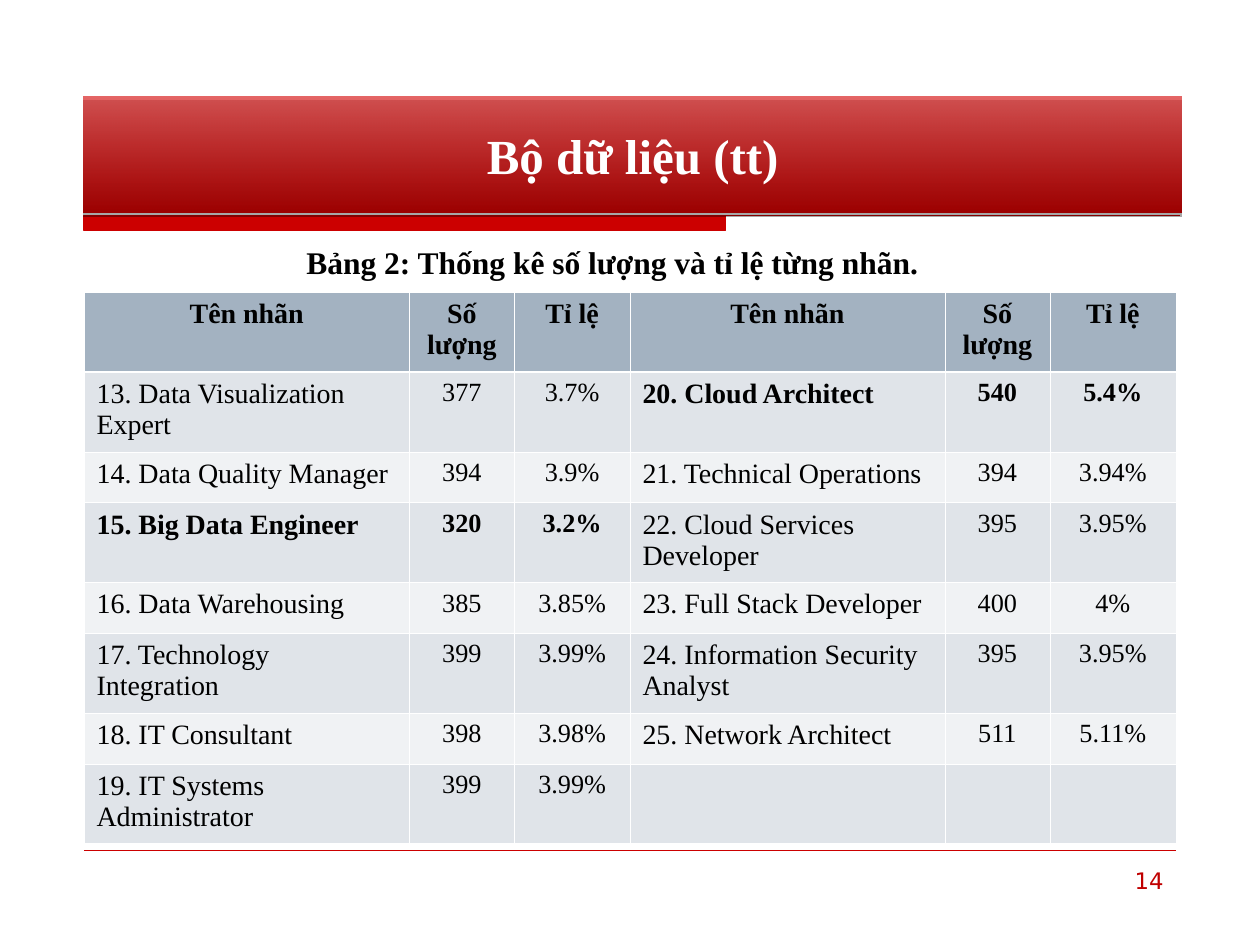
from pptx import Presentation
from pptx.dml.color import RGBColor
from pptx.enum.shapes import MSO_CONNECTOR, MSO_SHAPE
from pptx.enum.text import MSO_ANCHOR, PP_ALIGN
from pptx.oxml import parse_xml
from pptx.oxml.ns import nsdecls
from pptx.util import Inches, Pt

COLORS = {
    "white": "FFFFFF", "black": "000000", "red": "CC0000", "number": "C00000",
    "grad_bottom": "9D0000", "grad_top": "D30000",
    "header": "A3B2C1", "odd": "E0E4E9", "even": "F0F2F4",
}
SERIF, SANS = "Times New Roman", "DejaVu Sans"
COLS, ROWS = 60, 45
LEFT, WIDTH = 4, 52
COL_WIDTHS = [15.5, 5, 5.5, 15, 5, 6]
TALL, SHORT = 3.8, 2.42
ROW_HEIGHTS = [TALL, TALL, SHORT, TALL, SHORT, TALL, SHORT, TALL]
HEADER = ["Tên nhãn", "Số lượng", "Tỉ lệ"] * 2
DATA = [
    ["13. Data Visualization Expert", "377", "3.7%", "20. Cloud Architect", "540", "5.4%"],
    ["14. Data Quality Manager", "394", "3.9%", "21. Technical Operations", "394", "3.94%"],
    ["15. Big Data Engineer", "320", "3.2%", "22. Cloud Services Developer", "395", "3.95%"],
    ["16. Data Warehousing", "385", "3.85%", "23. Full Stack Developer", "400", "4%"],
    ["17. Technology Integration", "399", "3.99%", "24. Information Security Analyst", "395", "3.95%"],
    ["18. IT Consultant", "398", "3.98%", "25. Network Architect", "511", "5.11%"],
    ["19. IT Systems Administrator", "399", "3.99%", "", "", ""],
]
BOLD_LABELS = {"15. Big Data Engineer", "20. Cloud Architect"}


class Deck:
    def __init__(self):
        self.prs = Presentation()
        self.prs.slide_width, self.prs.slide_height = Inches(10), Inches(7.5)
        self.s = self.prs.slides.add_slide(self.prs.slide_layouts[6])

    def x(self, n):
        return round(self.prs.slide_width * n / COLS)

    def y(self, n):
        return round(self.prs.slide_height * n / ROWS)

    def box(self, left, top, width, height):
        return self.x(left), self.y(top), self.x(width), self.y(height)

    def color(self, name):
        return RGBColor.from_string(COLORS[name])

    def run(self, tf, text, size, color="black", bold=False, align=PP_ALIGN.LEFT, font=SERIF):
        p = tf.paragraphs[0]
        p.alignment = align
        r = p.add_run()
        r.text = text
        r.font.size, r.font.bold, r.font.name = Pt(size), bold, font
        r.font.color.rgb = self.color(color)

    def text(self, box, text, size, **style):
        tf = self.s.shapes.add_textbox(*self.box(*box)).text_frame
        tf.word_wrap = True
        self.run(tf, text, size, **style)

    def banner(self, box, text):
        sp = self.s.shapes.add_shape(MSO_SHAPE.RECTANGLE, *self.box(*box))
        sp.line.fill.background()
        sp.shadow.inherit = False
        sp.fill.gradient()
        pr = sp._element.spPr
        pr.replace(pr.find("{*}gradFill"), parse_xml(
            f'<a:gradFill {nsdecls("a")} rotWithShape="1"><a:gsLst>'
            f'<a:gs pos="0"><a:srgbClr val="{COLORS["grad_bottom"]}"/></a:gs>'
            f'<a:gs pos="100000"><a:srgbClr val="{COLORS["grad_top"]}"><a:alpha val="60000"/>'
            '</a:srgbClr></a:gs></a:gsLst><a:lin ang="16200000" scaled="0"/></a:gradFill>'))
        pr.find("{*}effectLst").append(parse_xml(
            f'<a:outerShdw {nsdecls("a")} blurRad="0" dist="{Pt(1.8)}" dir="5400000" rotWithShape="0">'
            f'<a:srgbClr val="{COLORS["black"]}"><a:alpha val="35000"/></a:srgbClr></a:outerShdw>'))
        sp.text_frame.word_wrap = True
        sp.text_frame.vertical_anchor = MSO_ANCHOR.MIDDLE
        self.run(sp.text_frame, text, 28, "white", True, PP_ALIGN.CENTER)

    def accent(self, left, top, bar_width, height, line_width):
        x, y, w, h = self.box(left, top, bar_width, height)
        fb = self.s.shapes.build_freeform(x, y)
        fb.add_line_segments([(x + w, y), (x + w, y + h), (x, y + h)], close=True)
        fb.move_to(x, y)
        fb.add_line_segments([(x + self.x(line_width), y)], close=False)
        sp = fb.convert_to_shape()
        sp.shadow.inherit = False
        sp.fill.solid()
        sp.fill.fore_color.rgb = sp.line.color.rgb = self.color("red")
        sp.line.width = Pt(0.75)

    def rule(self, left, top, width):
        x, y, w, _ = self.box(left, top, width, 0)
        line = self.s.shapes.add_connector(MSO_CONNECTOR.STRAIGHT, x, y, x + w, y)
        line.line.color.rgb = self.color("red")
        line.line.width = Pt(0.25)
        line._element.spPr.append(parse_xml(f'<a:effectLst {nsdecls("a")}/>'))

    def borders(self, cell, row):
        heavy = {0: "B", 1: "T"}.get(row)
        pr = cell._tc.get_or_add_tcPr()
        for i, side in enumerate("LRTB"):
            width = Pt(1.47 if side == heavy else 0.45)
            pr.insert(i, parse_xml(
                f'<a:ln{side} {nsdecls("a")} w="{width}"><a:solidFill>'
                f'<a:srgbClr val="{COLORS["white"]}"/></a:solidFill></a:ln{side}>'))

    def table(self, left, top, rows):
        box = self.box(left, top, sum(COL_WIDTHS), sum(ROW_HEIGHTS))
        table = self.s.shapes.add_table(len(rows), len(COL_WIDTHS), *box).table
        for column, width in zip(table.columns, COL_WIDTHS):
            column.width = self.x(width)
        for i, values in enumerate(rows):
            table.rows[i].height = self.y(ROW_HEIGHTS[i])
            for j, value in enumerate(values):
                cell = table.cell(i, j)
                cell.fill.solid()
                cell.fill.fore_color.rgb = self.color("header" if i == 0 else "odd" if i % 2 else "even")
                self.borders(cell, i)
                if value:
                    is_label = j % 3 == 0
                    bold = i == 0 or values[j - j % 3] in BOLD_LABELS
                    align = PP_ALIGN.LEFT if is_label and i else PP_ALIGN.CENTER
                    size = 16 if is_label or i == 0 else 15
                    self.run(cell.text_frame, value, size, bold=bold, align=align)


def main():
    deck = Deck()
    deck.accent(LEFT, 10.26, 30.54, 0.72, 52.2)
    deck.rule(LEFT, 40.5, WIDTH)
    deck.banner((LEFT, 4.62, 52.26, 5.52), "Bộ dữ liệu (tt)")
    deck.text((14, 11.28, 42.5, 2.4), "Bảng 2: Thống kê số lượng và tỉ lệ từng nhãn.", 18, bold=True)
    deck.table(LEFT, 13.92, [HEADER] + DATA)
    deck.text((43, 41, 13, 3.1), "14", 13, color="number", align=PP_ALIGN.RIGHT, font=SANS)
    deck.prs.save("out.pptx")


if __name__ == "__main__":
    main()
